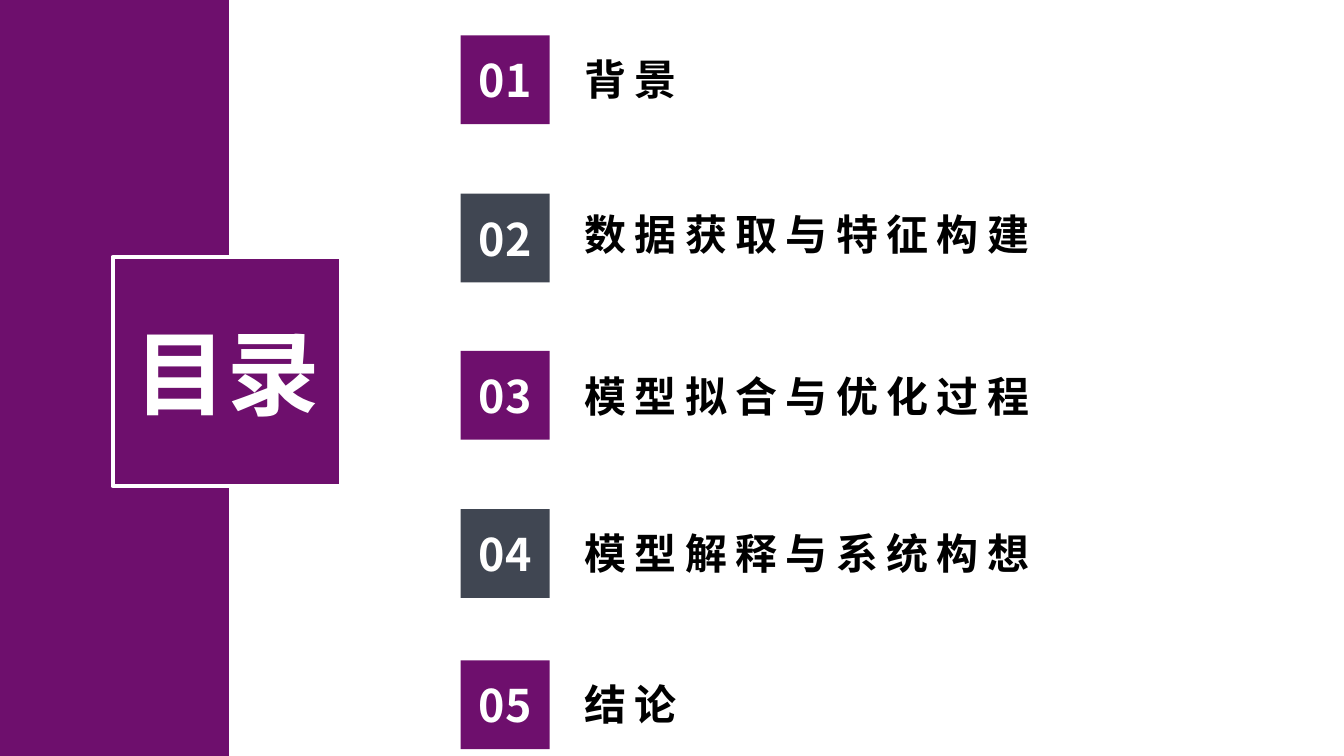
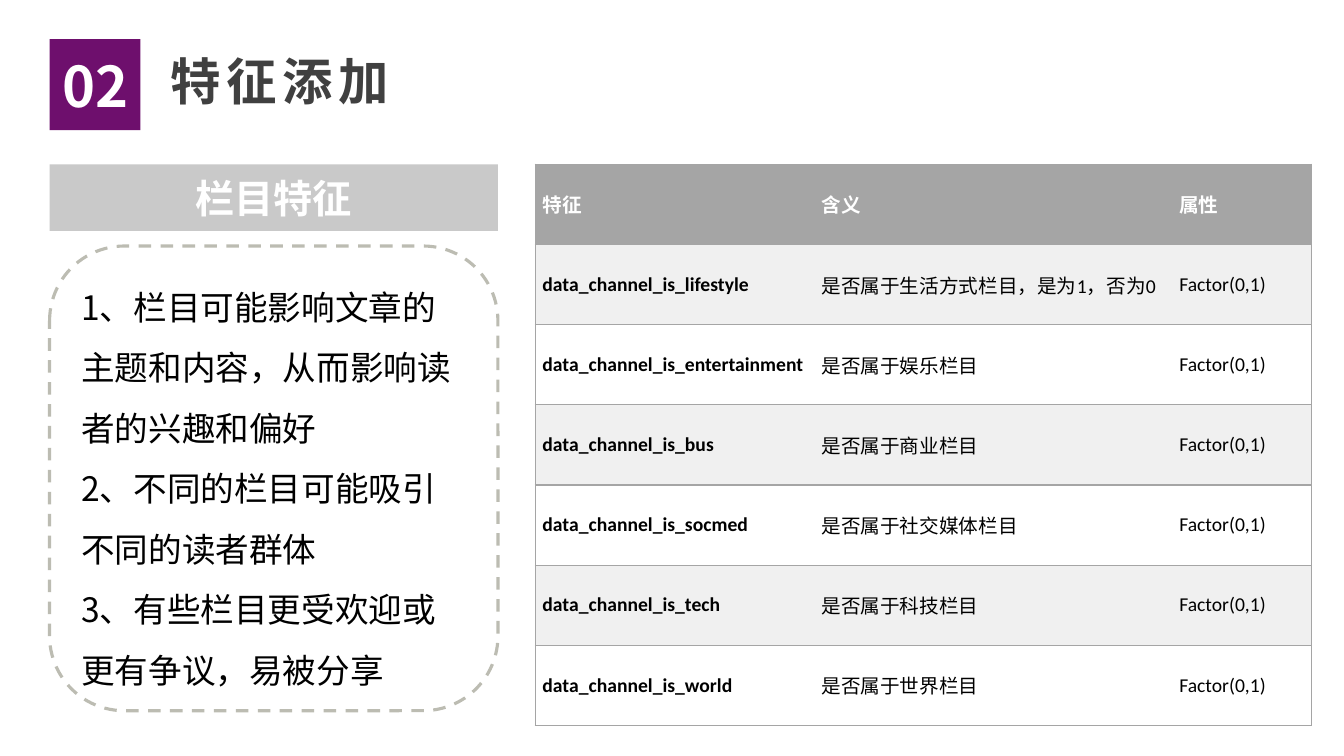
from collections import namedtuple

from lxml import etree
from pptx import Presentation
from pptx.dml.color import RGBColor
from pptx.enum.dml import MSO_LINE
from pptx.enum.shapes import MSO_SHAPE
from pptx.enum.text import MSO_ANCHOR, PP_ALIGN
from pptx.oxml.ns import qn
from pptx.util import Cm, Pt

RECTANGLE = MSO_SHAPE.RECTANGLE
ROUNDED = MSO_SHAPE.ROUNDED_RECTANGLE
DASH = MSO_LINE.DASH
MIDDLE = MSO_ANCHOR.MIDDLE
LEFT, CENTER, JUSTIFY = PP_ALIGN.LEFT, PP_ALIGN.CENTER, PP_ALIGN.JUSTIFY

PURPLE = RGBColor(0x6E, 0x0F, 0x6D)
SLATE = RGBColor(0x40, 0x46, 0x52)
CHARCOAL = RGBColor(0x40, 0x40, 0x40)
GREY = RGBColor(0xA5, 0xA5, 0xA5)
SILVER = RGBColor(0xC9, 0xC9, 0xC9)
STONE = RGBColor(0xBC, 0xBC, 0xB2)
PALE = RGBColor(0xF0, 0xF0, 0xF0)
WHITE = RGBColor(0xFF, 0xFF, 0xFF)
BLACK = RGBColor(0x00, 0x00, 0x00)

HAN_FONT = "Noto Sans CJK SC"
LATIN_FONT = "Calibri"
PAGE_WIDTH, PAGE_HEIGHT = 33.87, 19.05

TextStyle = namedtuple(
    "TextStyle", "size color bold font align tracking leading",
    defaults=(True, HAN_FONT, LEFT, 0, 1.0))

CONTENTS_TITLE = TextStyle(66, WHITE, align=CENTER)
CONTENTS_NUMBER = TextStyle(32, WHITE, align=CENTER)
CONTENTS_LABEL = TextStyle(30, BLACK, font=LATIN_FONT, tracking=6)
PAGE_NUMBER = TextStyle(40, WHITE, align=CENTER)
PAGE_TITLE = TextStyle(36, CHARCOAL, tracking=4)
PANEL_TITLE = TextStyle(28, WHITE, align=CENTER)
PANEL_BODY = TextStyle(24, BLACK, bold=False, leading=1.5)
TABLE_HEAD = TextStyle(14, WHITE, font=LATIN_FONT, align=JUSTIFY)
TABLE_KEY = TextStyle(14, BLACK, font=LATIN_FONT, align=JUSTIFY)
TABLE_BODY = TextStyle(14, BLACK, bold=False, font=LATIN_FONT, align=JUSTIFY)


class Deck:
    """Builds styled pages and keeps track of the current one."""

    def __init__(self):
        self.deck = Presentation()
        self.deck.slide_width = Cm(PAGE_WIDTH)
        self.deck.slide_height = Cm(PAGE_HEIGHT)
        self.page = None

    def new_page(self):
        self.page = self.deck.slides.add_slide(self.deck.slide_layouts[6])

    def set_text(self, frame, text, style):
        frame.text = text
        frame.word_wrap = True
        for para in frame.paragraphs:
            para.alignment = style.align
            para.line_spacing = style.leading
            for span in para.runs:
                span.font.size = Pt(style.size)
                span.font.bold = style.bold
                span.font.color.rgb = style.color
                span.font.name = style.font
                properties = span.font._element
                if style.tracking:
                    properties.set("spc", str(style.tracking * 100))
                etree.SubElement(properties, qn("a:ea"), typeface=HAN_FONT)

    def shape(self, kind, left, top, width, height, fill=None, line=None, weight=1):
        shape = self.page.shapes.add_shape(
            kind, Cm(left), Cm(top), Cm(width), Cm(height))
        shape.shadow.inherit = False
        if fill is None:
            shape.fill.background()
        else:
            shape.fill.solid()
            shape.fill.fore_color.rgb = fill
        if line is None:
            shape.line.fill.background()
        else:
            shape.line.color.rgb = line
            shape.line.width = Pt(weight)
        shape.text_frame.vertical_anchor = MIDDLE
        return shape

    def tile(self, left, top, width, height, fill, text, style, line=None, weight=1):
        frame = self.shape(
            RECTANGLE, left, top, width, height, fill, line, weight).text_frame
        frame.margin_left = frame.margin_right = 0
        frame.margin_top = frame.margin_bottom = 0
        self.set_text(frame, text, style)

    def panel(self, left, top, width, height, text, style):
        panel = self.shape(ROUNDED, left, top, width, height, line=STONE, weight=2.25)
        panel.line.dash_style = DASH
        self.set_text(panel.text_frame, text, style)

    def label(self, left, top, width, height, text, style):
        box = self.page.shapes.add_textbox(
            Cm(left), Cm(top), Cm(width), Cm(height))
        self.set_text(box.text_frame, text, style)

    def heading(self, number, title):
        self.tile(1.25, 0.99, 2.29, 2.29, PURPLE, number, PAGE_NUMBER)
        self.label(4.04, 1.14, 13.69, 1.8, title, PAGE_TITLE)

    def borders(self, cell, visible):
        properties = cell._tc.get_or_add_tcPr()
        for side in "LRTB":
            edge = etree.SubElement(properties, qn("a:ln" + side), w=str(Pt(1)))
            if side in visible:
                solid = etree.SubElement(edge, qn("a:solidFill"))
                etree.SubElement(solid, qn("a:srgbClr"), val=str(GREY))
            else:
                etree.SubElement(edge, qn("a:noFill"))

    def table(self, left, top, widths, row_height, rows):
        table = self.page.shapes.add_table(
            len(rows), len(widths), Cm(left), Cm(top),
            Cm(sum(widths)), Cm(row_height * len(rows))).table
        for column, width in zip(table.columns, widths):
            column.width = Cm(width)
        last = len(widths) - 1
        for y, values in enumerate(rows):
            table.rows[y].height = Cm(row_height)
            fill = GREY if y == 0 else PALE if y % 2 else WHITE
            for x, value in enumerate(values):
                cell = table.cell(y, x)
                cell.margin_left = cell.margin_right = Cm(0.18)
                cell.margin_top = cell.margin_bottom = 0
                cell.vertical_anchor = MIDDLE
                self.borders(cell, "TB" + "L" * (x == 0) + "R" * (x == last))
                cell.fill.solid()
                cell.fill.fore_color.rgb = fill
                style = TABLE_HEAD if y == 0 else TABLE_KEY if x == 0 else TABLE_BODY
                self.set_text(cell.text_frame, value, style)


def contents_page(deck):
    chapters = [
        ("背景", 0.89, 1.22),
        ("数据获取与特征构建", 4.88, 5.13),
        ("模型拟合与优化过程", 8.84, 9.22),
        ("模型解释与系统构想", 12.83, 13.18),
        ("结论", 16.64, 16.97),
    ]
    deck.new_page()
    deck.shape(RECTANGLE, 0, 0, 5.77, PAGE_HEIGHT, PURPLE)
    deck.tile(2.84, 6.48, 5.77, 5.77, PURPLE, "目录", CONTENTS_TITLE, WHITE, 3)
    for number, (chapter, tile_top, label_top) in enumerate(chapters, 1):
        fill = PURPLE if number % 2 else SLATE
        deck.tile(11.61, tile_top, 2.24, 2.24, fill, f"{number:02}", CONTENTS_NUMBER)
        deck.label(14.48, label_top, 13, 1.53, chapter, CONTENTS_LABEL)


def features_page(deck):
    reasons = [
        "1、栏目可能影响文章的主题和内容，从而影响读者的兴趣和偏好",
        "2、不同的栏目可能吸引不同的读者群体",
        "3、有些栏目更受欢迎或更有争议，易被分享",
    ]
    channels = [
        ("lifestyle", "生活方式栏目，是为1，否为0"),
        ("entertainment", "娱乐栏目"),
        ("bus", "商业栏目"),
        ("socmed", "社交媒体栏目"),
        ("tech", "科技栏目"),
        ("world", "世界栏目"),
    ]
    rows = [("特征", "含义", "属性")]
    rows += [(f"data_channel_is_{channel}", f"是否属于{meaning}", "Factor(0,1)")
             for channel, meaning in channels]
    deck.new_page()
    deck.heading("02", "特征添加")
    deck.panel(1.25, 6.2, 11.3, 11.71, "\n".join(reasons), PANEL_BODY)
    deck.tile(1.25, 4.14, 11.3, 1.68, SILVER, "栏目特征", PANEL_TITLE)
    deck.table(13.49, 4.14, (7.03, 9.02, 3.52), 2.02, rows)


def main():
    pages = Deck()
    contents_page(pages)
    features_page(pages)
    pages.deck.save("out.pptx")


if __name__ == "__main__":
    main()
